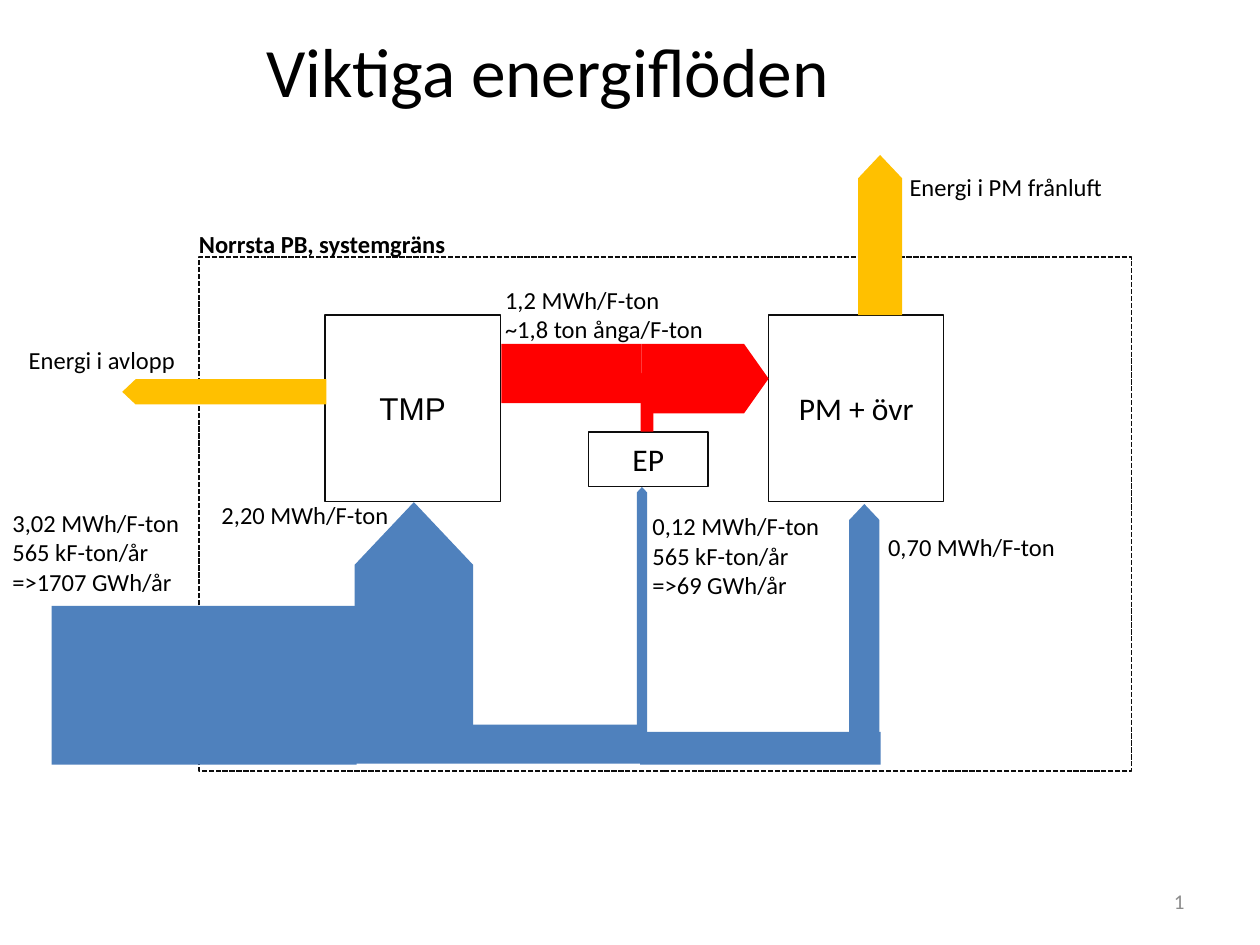
from lxml.etree import SubElement
from pptx import Presentation
from pptx.dml.color import RGBColor
from pptx.enum.dml import MSO_LINE
from pptx.enum.shapes import MSO_SHAPE
from pptx.enum.text import MSO_ANCHOR, MSO_AUTO_SIZE, PP_ALIGN
from pptx.oxml.ns import qn
from pptx.util import Inches, Pt

BLACK = RGBColor(0x00, 0x00, 0x00)
OUTLINE = RGBColor(0x0D, 0x0D, 0x0D)
WHITE = RGBColor(0xFF, 0xFF, 0xFF)
GREY = RGBColor(0x8C, 0x8C, 0x8C)
ELECTRICITY = RGBColor(0x4F, 0x81, 0xBD)
STEAM = RGBColor(0xFF, 0x00, 0x00)
HEAT_LOSS = RGBColor(0xFF, 0xC0, 0x00)

CELL = Inches(10) // 100
ROTATION = {"right": 0, "up": 270, "left": 180}
HEAD = 0.529


def grid(box, part):
    """Turn a part's columns and rows, counted from the box corner, into lengths."""
    left, top, width, height = part
    return [round(cells * CELL) for cells in (box[0] + left, box[1] + top, width, height)]


def style(target, **values):
    """Set attributes from format values."""
    for name, value in values.items():
        setattr(target, name, value)


def write(frame, lines, size=14, font="Calibri", color=BLACK, bold=False, align=PP_ALIGN.LEFT):
    """Write lines as paragraphs in one format."""
    frame.text = "\n".join(lines)
    for paragraph in frame.paragraphs:
        paragraph.alignment = align
        style(paragraph.font, size=Pt(size), name=font, bold=bold)
        paragraph.font.color.rgb = color


def add_outline(slide, box, part, width):
    """Add a plain rectangle with a dark outline."""
    outline = slide.shapes.add_shape(MSO_SHAPE.RECTANGLE, *grid(box, part))
    outline.shadow.inherit = False
    outline.line.color.rgb = OUTLINE
    outline.line.width = Pt(width)
    return outline


def add_flow(slide, box, part, color, direction="right", head=HEAD):
    """Add a full-width arrow that fills the part in the given direction."""
    left, top, width, height = part
    if direction == "up":
        left, top = left + (width - height) / 2, top + (height - width) / 2
        width, height = height, width
    flow = slide.shapes.add_shape(
        MSO_SHAPE.RIGHT_ARROW, *grid(box, (left, top, width, height)))
    flow.adjustments[0], flow.adjustments[1] = 1, head
    flow.rotation = ROTATION[direction]
    flow.shadow.inherit = False
    flow.fill.solid()
    flow.fill.fore_color.rgb = color
    flow.line.fill.background()


def add_label(slide, box, left, top, width, lines, bold=False):
    """Add a label that is as high as its lines."""
    height = 3.4 + 2.35 * (len(lines) - 1)
    frame = slide.shapes.add_textbox(*grid(box, (left, top, width, height))).text_frame
    style(frame, word_wrap=False, auto_size=MSO_AUTO_SIZE.SHAPE_TO_FIT_TEXT)
    write(frame, lines, bold=bold)


def place_title(slide, box):
    """Move and format the title placeholder."""
    title = slide.shapes.title
    style(title, **dict(zip(("left", "top", "width", "height"), grid((0, 0), box))))
    style(title.text_frame, vertical_anchor=MSO_ANCHOR.MIDDLE, auto_size=MSO_AUTO_SIZE.NONE)
    write(title.text_frame, ["Viktiga energiflöden"], size=39.6, align=PP_ALIGN.CENTER)


def place_boundary(slide, box):
    """Draw the dashed system boundary and its name."""
    boundary = add_outline(slide, box, (0, 0, *box[2:]), 1)
    boundary.fill.background()
    boundary.line.dash_style = MSO_LINE.SQUARE_DOT
    add_label(slide, box, -1, -2.7, 24.9, ["Norrsta PB, systemgräns"], bold=True)


def place_processes(slide, box):
    """Draw the three process boxes."""
    for name, font, part in (
        ("TMP", "Arial", (10, 4.6, 13.9, 14.8)),
        ("PM + övr", "Calibri", (45.2, 4.6, 13.9, 14.8)),
        ("EP", "Calibri", (30.9, 13.9, 9.5, 4.3)),
    ):
        process = add_outline(slide, box, part, 0.75)
        process.fill.solid()
        process.fill.fore_color.rgb = WHITE
        margins = dict.fromkeys(
            ("margin_left", "margin_top", "margin_right", "margin_bottom"), Inches(0.07))
        style(process.text_frame, vertical_anchor=MSO_ANCHOR.MIDDLE, **margins)
        write(process.text_frame, [name], size=18, font=font, align=PP_ALIGN.CENTER)


def place_electricity(slide, box):
    """Draw the electricity supply, its branches and its feeds upward."""
    for part in ((-11.7, 27.7, 24.2, 12.6), (12.4, 37.1, 22.7, 3.1), (35, 37.7, 19.1, 2.6)):
        add_flow(slide, box, part, ELECTRICITY, head=0)
    for part in ((12.35, 19.45, 9.4, 17.7), (34.75, 18.25, 0.8, 21.3), (51.6, 19.6, 2.4, 20.2)):
        add_flow(slide, box, part, ELECTRICITY, "up")
    add_label(slide, box, -15.8, 19.4, 15.4,
              ["3,02 MWh/F-ton", "565 kF-ton/år", "=>1707 GWh/år"])
    add_label(slide, box, 0.8, 18.8, 15.4, ["2,20 MWh/F-ton"])
    add_label(slide, box, 35, 19.7, 15.4,
              ["0,12 MWh/F-ton", "565 kF-ton/år", "=>69 GWh/år"])
    add_label(slide, box, 53.7, 21.3, 15.4, ["0,70 MWh/F-ton"])


def place_steam(slide, box):
    """Draw the steam from TMP and EP to PM."""
    add_flow(slide, box, (24, 6.9, 11.1, 4.7), STEAM, head=0)
    add_flow(slide, box, (35.05, 8.75, 1, 5.1), STEAM, "up")
    add_flow(slide, box, (35.1, 6.9, 10.1, 5.5), STEAM, head=0.353)
    add_label(slide, box, 23.3, 1.7, 17.9, ["1,2 MWh/F-ton", "~1,8 ton ånga/F-ton"])


def place_heat_losses(slide, box):
    """Draw the energy leaving with exhaust air and waste water."""
    add_flow(slide, box, (52.3, -8.1, 3.5, 12.7), HEAT_LOSS, "up")
    add_label(slide, box, 55.4, -7.2, 17.5, ["Energi i PM frånluft"])
    add_flow(slide, box, (-6.1, 9.7, 16.2, 2), HEAT_LOSS, "left")
    add_label(slide, box, -14.5, 6.5, 15, ["Energi i avlopp"])


def place_page_number(slide, box):
    """Add the slide number as a field."""
    frame = slide.shapes.add_textbox(*grid((0, 0), box)).text_frame
    style(frame, word_wrap=True, vertical_anchor=MSO_ANCHOR.MIDDLE)
    write(frame, ["1"], size=12, color=GREY, align=PP_ALIGN.RIGHT)
    run = frame.paragraphs[0].runs[0]
    style(run.font, size=Pt(12), name="Calibri")
    run.font.color.rgb = GREY
    field = SubElement(frame.paragraphs[0]._p, qn("a:fld"),
                       id="{B6F15528-21DE-4FAA-801E-634DDDAF4B2B}", type="slidenum")
    field.extend(list(run._r))
    frame.paragraphs[0]._p.remove(run._r)


def main():
    """Build the energy flow slide."""
    deck = Presentation()
    style(deck, slide_width=Inches(10), slide_height=Inches(7.5))
    slide = deck.slides.add_slide(deck.slide_layouts[5])
    system = (15.8, 20.4, 74, 40.8)
    place_title(slide, (10, 3.2, 66.9, 4.7))
    for place in (place_boundary, place_processes, place_electricity,
                  place_steam, place_heat_losses):
        place(slide, system)
    place_page_number(slide, (71.7, 69.5, 23.3, 4))
    deck.save("out.pptx")


if __name__ == "__main__":
    main()
